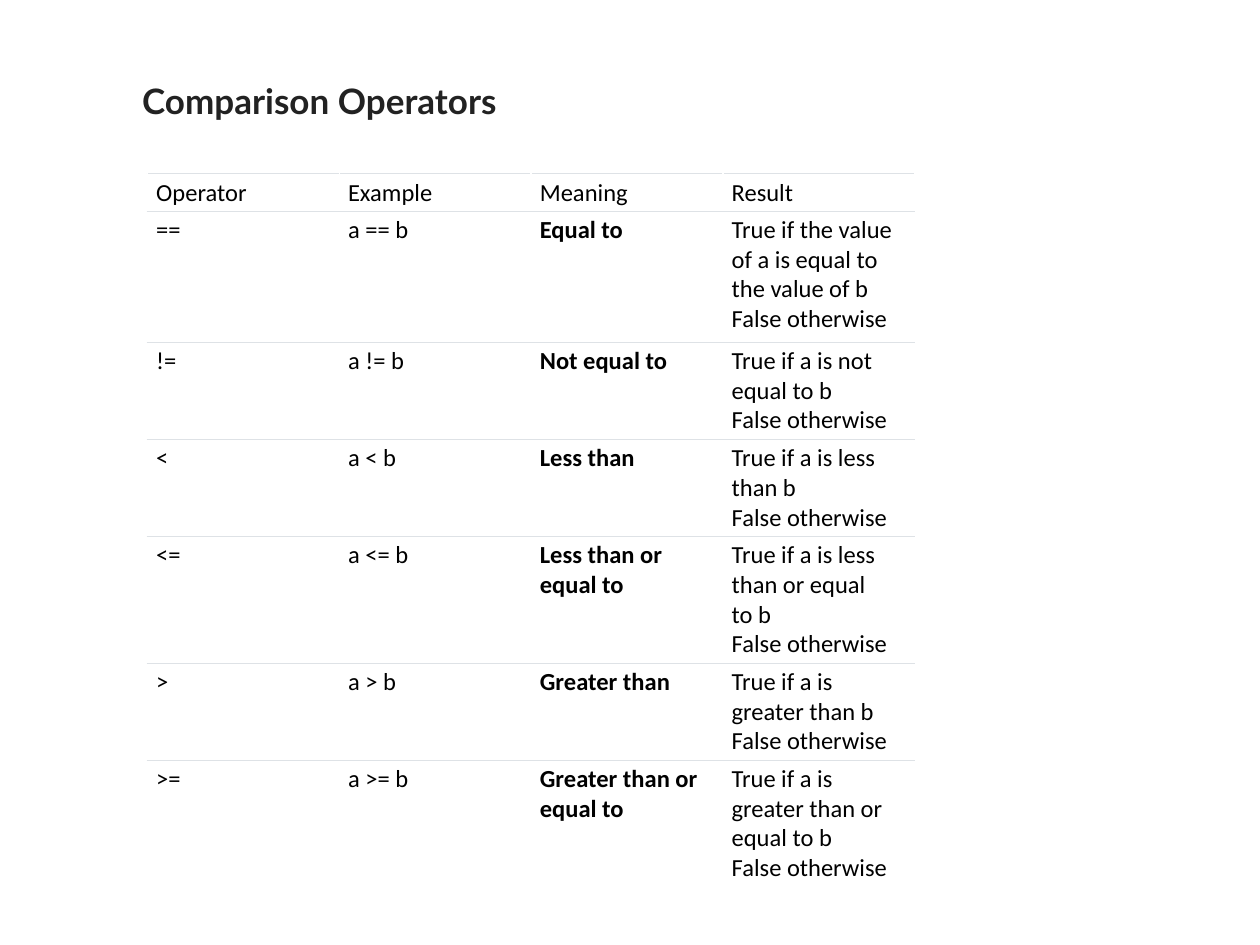
"""Build a slide that lists the comparison operators."""
from lxml.etree import SubElement as Sub
from pptx import Presentation
from pptx.dml.color import RGBColor as Rgb
from pptx.enum.text import MSO_ANCHOR as Anchor
from pptx.oxml.ns import qn
from pptx.util import Inches, Pt

HUES = {"text": "000000", "title": "222222", "rule": "DEE2E6", "page": "FFFFFF"}
HEAD = ("Operator", "Example", "Meaning", "Result")
TESTS = (
    ("==", "Equal to", "True~if the value of~a~is equal to the value of~b", 10.4),
    ("!=", "Not equal to", "True~if~a~is not equal to~b", 6.5),
    ("<", "Less than", "True~if~a~is less than~b", 6.5),
    ("<=", "Less than or equal to", "True~if~a~is less than or equal to~b", 8.5),
    (">", "Greater than", "True~if~a~is greater than~b", 6.5),
    (">=", "Greater than or equal to", "True~if~a~is greater than or equal to~b", 8.5),
)


def grid(count):
    """Return the length of some cells of a grid with 100 columns and 75 rows."""
    return Inches(count / 10)


def style(para, face, size, hue, bold=False):
    """Set the font of a paragraph."""
    font = para.font
    font.name, font.size, font.bold = face, Pt(size), bold
    font.color.rgb = Rgb.from_string(HUES[hue])


def rule(cell, sides):
    """Draw thin rules on the given sides of a cell."""
    props = cell._tc.get_or_add_tcPr()
    for side in sides:
        line = Sub(props, qn(f"a:ln{side}"), w=str(Pt(0.75)))
        fill = Sub(line, qn("a:solidFill"))
        Sub(fill, qn("a:srgbClr"), val=HUES["rule"])


def write(cell, text, bold, anchor, sides):
    """Fill one table cell."""
    cell.text = text
    cell.margin_left = cell.margin_right = grid(0.7)
    cell.margin_top = cell.margin_bottom = grid(0.3)
    cell.vertical_anchor = anchor
    for para in cell.text_frame.paragraphs:
        style(para, "Calibri", 14, "text", bold)
    rule(cell, sides)
    cell.fill.background()


def add_title(slide, text, left, top, wide, high):
    """Place the heading in its box."""
    box = slide.shapes.add_textbox(*map(grid, (left, top, wide, high)))
    box.fill.solid()
    box.fill.fore_color.rgb = Rgb.from_string(HUES["page"])
    frame = box.text_frame
    frame.word_wrap = True
    frame.vertical_anchor = Anchor.TOP
    frame.text = text
    style(frame.paragraphs[0], "Lato", 20, "title", True)


def add_tests(slide, left, top, wide):
    """Place the table of operators, with equal columns."""
    rows = [HEAD]
    highs = [2.6]
    for sign, name, truth, high in TESTS:
        result = truth.replace("~", chr(160)) + f"\vFalse{chr(160)}otherwise"
        rows.append((sign, f"a {sign} b", name, result))
        highs.append(high)
    box = map(grid, (left, top, wide, sum(highs)))
    table = slide.shapes.add_table(len(rows), len(HEAD), *box).table
    table.first_row = table.horz_banding = False
    for col in table.columns:
        col.width = grid(wide / len(HEAD))
    for y, (row, high) in enumerate(zip(rows, highs)):
        table.rows[y].height = grid(high)
        anchor = Anchor.TOP if y else Anchor.BOTTOM
        sides = "TB" if y < len(TESTS) else "T"
        for x, text in enumerate(row):
            bold = y > 0 and HEAD[x] == "Meaning"
            write(table.cell(y, x), text, bold, anchor, sides)


def main():
    """Build and save the slide."""
    deck = Presentation()
    deck.slide_width, deck.slide_height = grid(100), grid(75)
    slide = deck.slides.add_slide(deck.slide_layouts[6])
    add_tests(slide, 11.7, 13.8, 60.9)
    add_title(slide, "Comparison Operators", 10.3, 5.8, 89.7, 7.7)
    deck.save("out.pptx")


if __name__ == "__main__":
    main()
